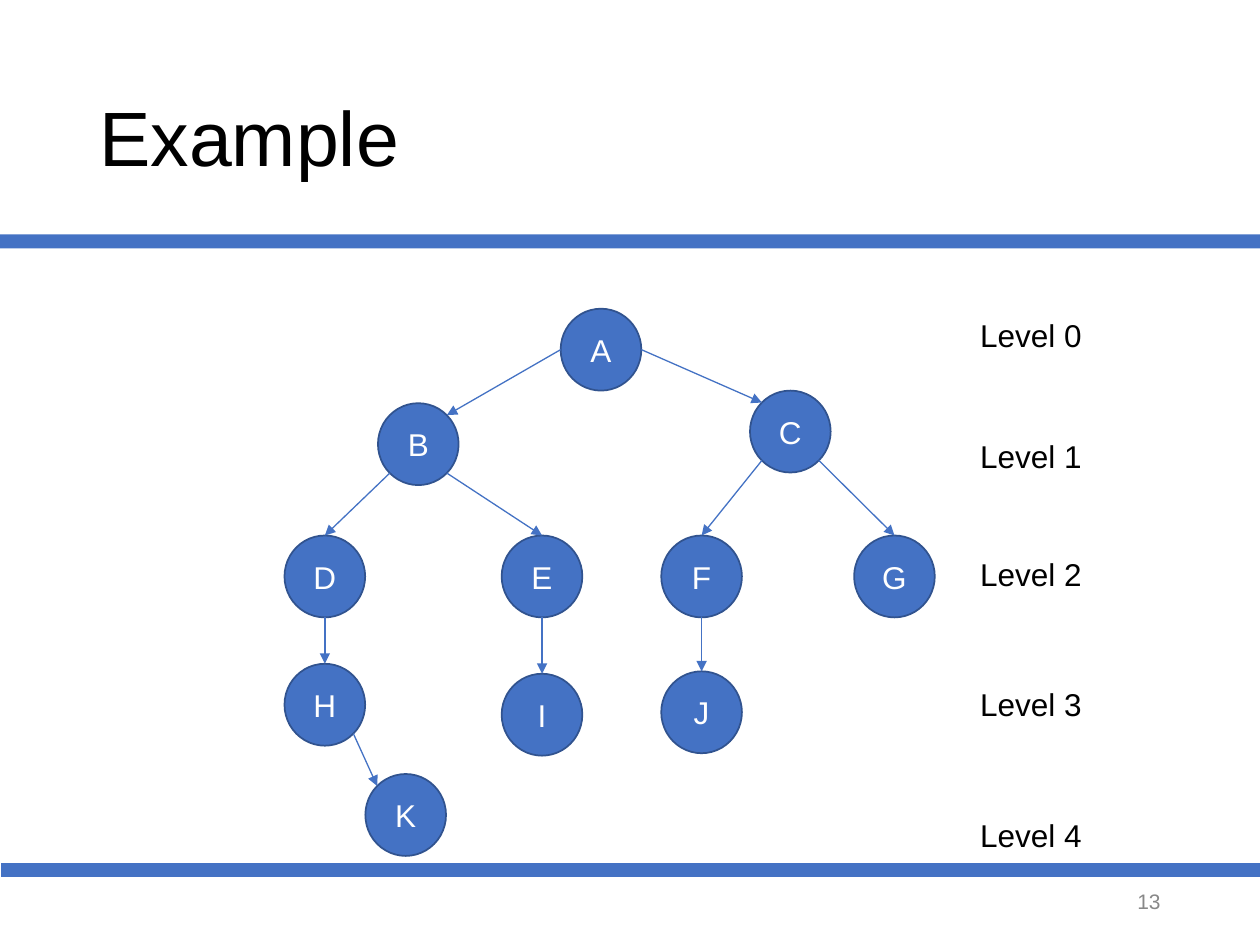
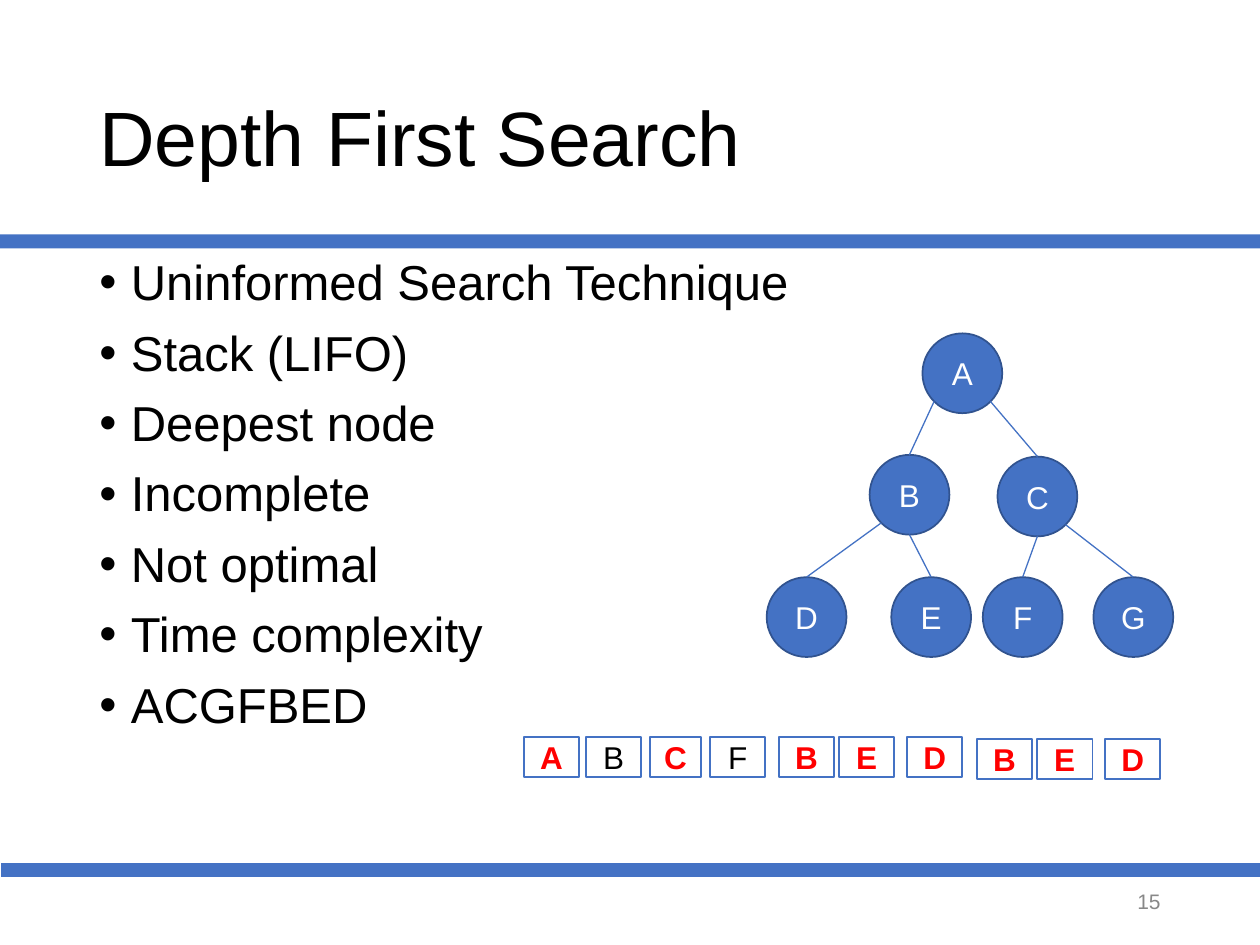
from lxml import etree
from pptx import Presentation
from pptx.dml.color import RGBColor
from pptx.enum import shapes, text
from pptx.oxml.ns import qn
from pptx.util import Pt

BLUE = RGBColor(0x44, 0x72, 0xC4)
NAVY = RGBColor(0x31, 0x53, 0x8F)
WHITE = RGBColor(0xFF, 0xFF, 0xFF)
BLACK = RGBColor(0, 0, 0)
RED = RGBColor(0xFF, 0, 0)
GREY = RGBColor(0x88, 0x88, 0x88)
FONT = "Arial"
SHAPE = shapes.MSO_SHAPE
ALIGN = text.PP_ALIGN

BANDS = [(0, 134), (0.7, 493.2)]  # left, top
TITLE_BOX = (49.6, 28.8, 620.6, 104.4)
BODY_BOX = (49.6, 144, 620.6, 342.7)
NUMBER_BOX = (508.3, 500.4, 162, 28.8)

LEVEL_TOPS = [177.1, 246.2, 313.9, 388.1, 463]

# Nodes: left, top. Edges: parent and its side, child and its side.
LEVEL_TREE = {
    "size": (46.1, 46.8),
    "arrows": True,
    "nodes": {
        "A": (320.4, 176.4), "B": (216, 230.4), "C": (428.6, 223.2),
        "D": (162.6, 306), "E": (286.7, 306), "F": (377.9, 306),
        "G": (488.1, 306), "H": (162.6, 379.3), "I": (286.7, 385),
        "J": (377.9, 383.6), "K": (208.8, 442.3)},
    "edges": ["A W B NE", "B SW D N", "A E C NW", "C SE G N", "C SW F N",
              "B SE E N", "E S I N", "D S H N", "H SE K NW", "F S J N"],
}
SEARCH_TREE = {
    "size": (45.6, 45.6),
    "arrows": False,
    "nodes": {
        "A": (527.1, 190.5), "B": (496.9, 259.9), "C": (570, 260.9),
        "D": (438.1, 329.8), "E": (509.3, 329.8), "F": (561.6, 329.8),
        "G": (624.8, 329.8)},
    "edges": ["A SE C N", "A SW B N", "B SW D N", "B S E N", "C S F N",
              "C SE G N"],
}

SEARCH_POINTS = ["Uninformed Search Technique", "Stack (LIFO)", "Deepest node",
                 "Incomplete", "Not optimal", "Time complexity", "ACGFBED"]

# Label, left, top, width, visited
STACK = [
    ("A", 299.3, 421.2, 31.7, True), ("B", 334.8, 421.2, 31.7, False),
    ("C", 371.5, 421.2, 29, True), ("F", 405.7, 421.2, 31.7, False),
    ("B", 445.1, 421.2, 31.7, True), ("E", 479.4, 421.2, 31.7, True),
    ("D", 518.3, 421.2, 31.7, True), ("B", 558.2, 422.3, 31.7, True),
    ("E", 592.6, 422.3, 31.7, True), ("D", 631.4, 422.3, 31.7, True),
]


def points(*values):
    return [Pt(v) for v in values]


def style(p, size, color, align=ALIGN.LEFT, bold=False):
    p.alignment = align
    f = p.font
    f.name, f.size, f.bold, f.color.rgb = FONT, Pt(size), bold, color


def place(sp, box):
    sp.left, sp.top, sp.width, sp.height = points(*box)


def add_block(s, kind, box, fill, line=None):
    sp = s.shapes.add_shape(kind, *points(*box))
    sp.shadow.inherit = False
    sp.fill.solid()
    sp.fill.fore_color.rgb = fill
    if line is None:
        sp.line.fill.background()
    else:
        sp.line.color.rgb = line
        sp.line.width = Pt(1)
    return sp


def add_label_block(s, label, kind, box, fill, line, color, bold=False):
    sp = add_block(s, kind, box, fill, line)
    tf = sp.text_frame
    tf.text = label
    tf.vertical_anchor = text.MSO_ANCHOR.MIDDLE
    style(tf.paragraphs[0], 18, color, ALIGN.CENTER, bold)


def add_text(s, label, box, size, color, align=ALIGN.LEFT,
             anchor=text.MSO_ANCHOR.TOP, wrap=True):
    tf = s.shapes.add_textbox(*points(*box)).text_frame
    tf.text = label
    tf.word_wrap = wrap
    tf.vertical_anchor = anchor
    style(tf.paragraphs[0], size, color, align)


def add_slide(prs, layout, title, number):
    s = prs.slides.add_slide(prs.slide_layouts[layout])
    for left, top in BANDS:
        add_block(s, SHAPE.RECTANGLE, (left, top, 720, 7.9), BLUE)
    sp = s.shapes.title
    place(sp, TITLE_BOX)
    tf = sp.text_frame
    tf.text = title
    tf.auto_size = text.MSO_AUTO_SIZE.NONE
    tf.vertical_anchor = text.MSO_ANCHOR.MIDDLE
    p = tf.paragraphs[0]
    p.line_spacing = 0.9
    style(p, 44, BLACK)
    add_text(s, str(number), NUMBER_BOX, 12, GREY, ALIGN.RIGHT,
             text.MSO_ANCHOR.MIDDLE)
    return s


def rim_point(corner, size, side):
    """Point of a node's outline in a compass direction such as N or SE."""
    dx = ("E" in side) - ("W" in side)
    dy = ("S" in side) - ("N" in side)
    reach = 0.5 ** 0.5 if dx and dy else 1
    return [c + d / 2 * (1 + reach * step)
            for c, d, step in zip(corner, size, (dx, dy))]


def add_edge(s, start, end, arrow):
    cx = s.shapes.add_connector(shapes.MSO_CONNECTOR.STRAIGHT,
                                *points(*start, *end))
    cx.line.color.rgb = BLUE
    cx.line.width = Pt(0.75)
    if arrow:
        etree.SubElement(cx.line._get_or_add_ln(), qn("a:tailEnd"),
                         type="triangle")
    etree.SubElement(cx._element.spPr, qn("a:effectLst"))


def add_tree(s, tree):
    size, nodes = tree["size"], tree["nodes"]
    for label, corner in nodes.items():
        add_label_block(s, label, SHAPE.OVAL, (*corner, *size), BLUE, NAVY,
                        WHITE)
    for edge in tree["edges"]:
        parent, out_side, child, in_side = edge.split()
        add_edge(s, rim_point(nodes[parent], size, out_side),
                 rim_point(nodes[child], size, in_side), tree["arrows"])


def fill_body(s, items):
    sp = s.placeholders[1]
    place(sp, BODY_BOX)
    tf = sp.text_frame
    tf.text = "\n".join(items)
    tf.auto_size = text.MSO_AUTO_SIZE.NONE
    for i, p in enumerate(tf.paragraphs):
        pPr = p._p.get_or_add_pPr()
        pPr.set("marL", str(Pt(18)))
        pPr.set("indent", str(Pt(-18)))
        p.line_spacing = 0.9
        p.space_before = Pt(10 if i else 0)
        style(p, 28, BLACK)


def main():
    prs = Presentation()
    prs.slide_width, prs.slide_height = points(720, 540)

    s = add_slide(prs, 5, "Example", 13)
    add_tree(s, LEVEL_TREE)
    for level, top in enumerate(LEVEL_TOPS):
        add_text(s, f"Level {level}", (553, top, 73.4, 28.8), 18, BLACK,
                 wrap=False)

    s = add_slide(prs, 1, "Depth First Search", 15)
    fill_body(s, SEARCH_POINTS)
    add_tree(s, SEARCH_TREE)
    for label, left, top, width, visited in STACK:
        add_label_block(s, label, SHAPE.RECTANGLE, (left, top, width, 23),
                        WHITE, BLUE, RED if visited else BLACK, visited)

    prs.save("out.pptx")


if __name__ == "__main__":
    main()
